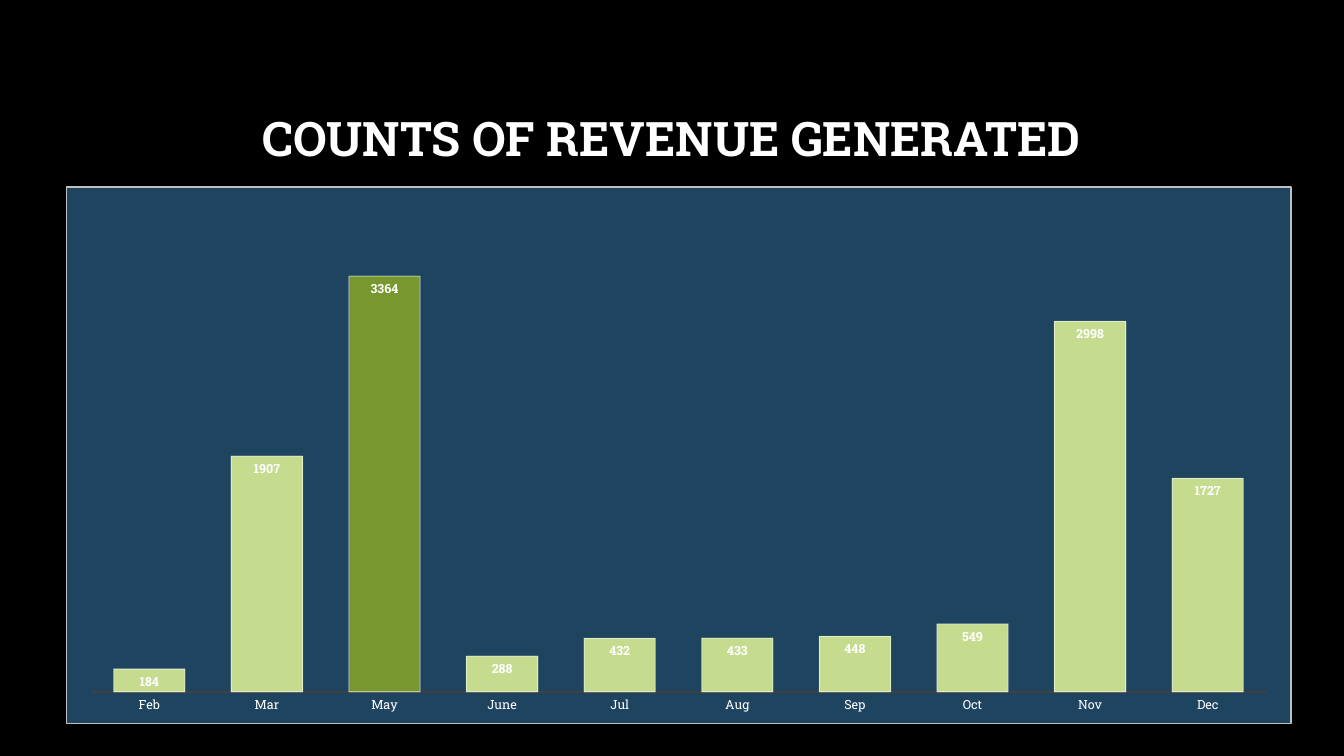
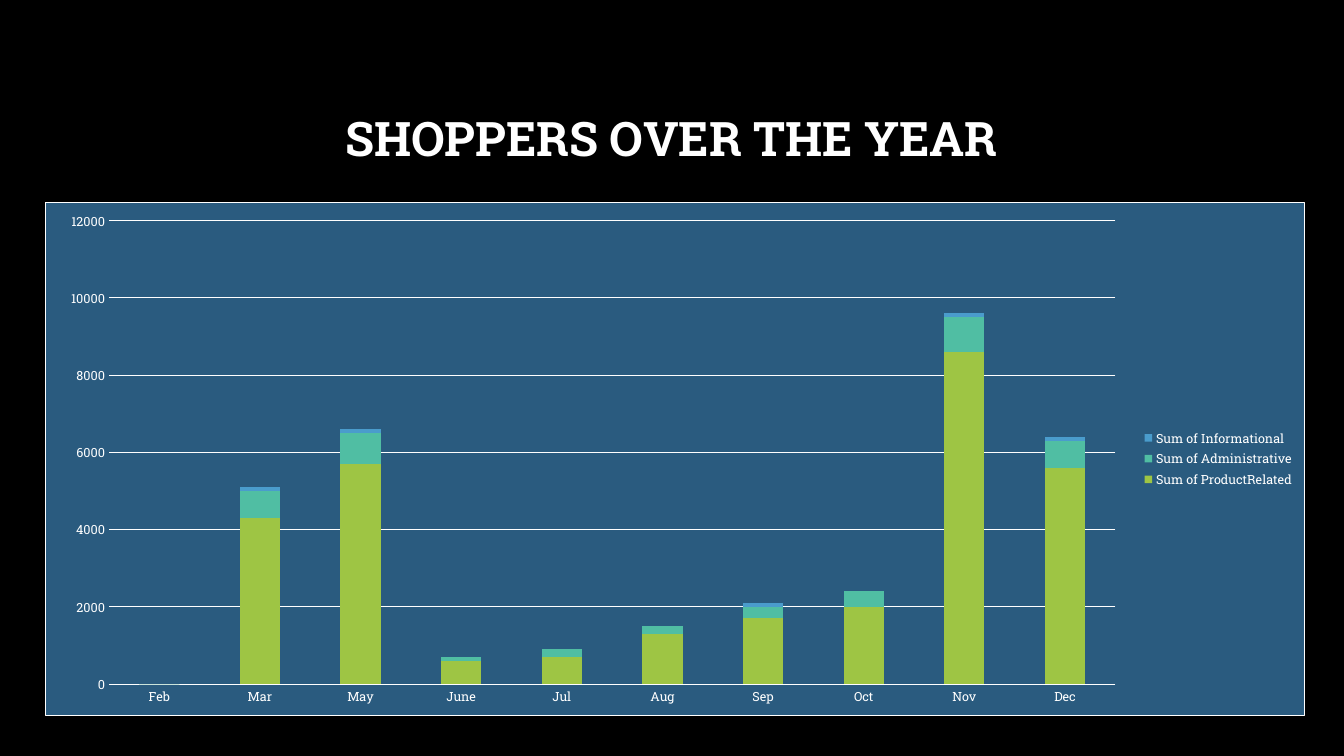
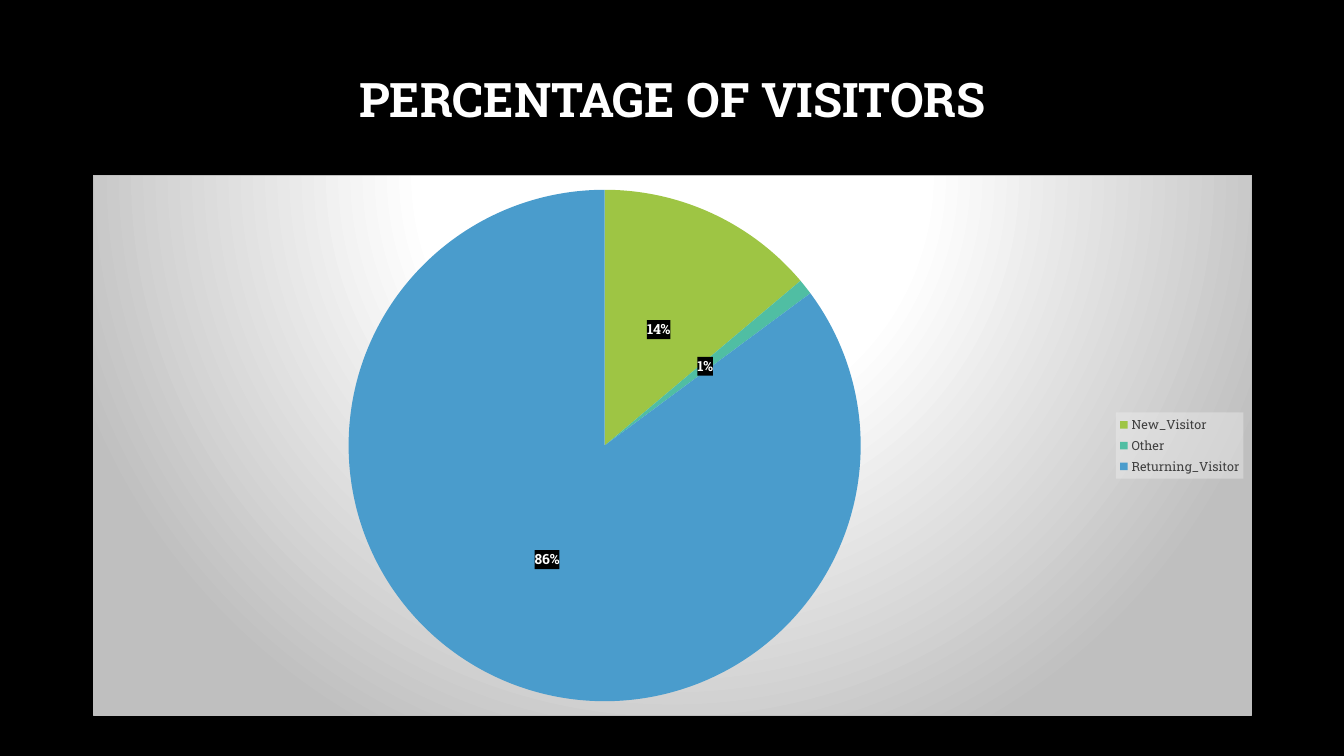
from dataclasses import dataclass, field
from typing import Any

from pptx import Presentation
from pptx.chart.chart import Chart
from pptx.chart.data import CategoryChartData
from pptx.dml.color import RGBColor
from pptx.enum.chart import XL_CHART_TYPE as ChartType
from pptx.enum.chart import XL_LABEL_POSITION as LabelPosition
from pptx.enum.chart import XL_LEGEND_POSITION as LegendPosition
from pptx.enum.chart import XL_TICK_MARK as TickMark
from pptx.enum.text import MSO_ANCHOR as Anchor
from pptx.enum.text import PP_ALIGN as Align
from pptx.oxml import parse_xml
from pptx.oxml.ns import nsdecls, qn
from pptx.util import Inches, Pt

FONT = "Roboto Slab"
BLACK = RGBColor(0x00, 0x00, 0x00)
WHITE = RGBColor(0xFF, 0xFF, 0xFF)
CHARCOAL = RGBColor(0x40, 0x40, 0x40)
SILVER = RGBColor(0xBF, 0xBF, 0xBF)
MIST = RGBColor(0xF2, 0xF2, 0xF2)
NAVY = RGBColor(0x1F, 0x44, 0x5F)
STEEL = RGBColor(0x2A, 0x5B, 0x7F)
PALE_GREEN = RGBColor(0xC5, 0xDC, 0x8F)
DARK_GREEN = RGBColor(0x78, 0x98, 0x2F)
GREEN = RGBColor(0x9E, 0xC5, 0x44)
TEAL = RGBColor(0x50, 0xBE, 0xA3)
BLUE = RGBColor(0x4A, 0x9C, 0xCC)

MONTHS = ("Feb", "Mar", "May", "June", "Jul", "Aug", "Sep", "Oct", "Nov", "Dec")
TITLE_SIZE = (11.32, 1.45)


@dataclass(frozen=True)
class Measure:
    """A named row of chart values with its colours."""

    name: str
    values: tuple[int, ...]
    color: RGBColor
    point_colors: dict[int, RGBColor] = field(default_factory=dict)


@dataclass(frozen=True)
class ChartPage:
    """A titled slide holding one framed chart."""

    title: str
    title_at: tuple[float, float]
    chart_box: tuple[float, float, float, float]
    chart_type: ChartType
    categories: tuple[str, ...]
    measures: tuple[Measure, ...]
    background: str
    border: RGBColor


def solid(color: RGBColor, opacity: int = 100) -> str:
    """Return the XML of a plain fill."""
    return (f'<a:solidFill><a:srgbClr val="{color}">'
            f'<a:alpha val="{opacity * 1000}"/></a:srgbClr></a:solidFill>')


def spotlight() -> str:
    """Return the XML of the round white to silver gradient."""
    stops = "".join(
        f'<a:gs pos="{position * 1000}"><a:srgbClr val="{color}"/></a:gs>'
        for position, color in ((0, WHITE), (39, WHITE), (100, SILVER)))
    return (f'<a:gradFill><a:gsLst>{stops}</a:gsLst><a:path path="circle">'
            '<a:fillToRect l="50000" t="-80000" r="50000" b="180000"/>'
            '</a:path></a:gradFill>')


PAGES = (
    ChartPage(
        "COUNTS OF REVENUE GENERATED", (1, 0.67), (0.65, 1.85, 12.16, 5.33),
        ChartType.COLUMN_CLUSTERED, MONTHS,
        (Measure("Series 1", (184, 1907, 3364, 288, 432, 433, 448, 549, 2998, 1727),
                 PALE_GREEN, {2: DARK_GREEN}),),
        solid(NAVY), SILVER),
    ChartPage(
        "SHOPPERS OVER THE YEAR", (1, 0.67), (0.45, 2, 12.49, 5.1),
        ChartType.COLUMN_STACKED, MONTHS,
        (Measure("Sum of ProductRelated",
                 (0, 4300, 5700, 600, 700, 1300, 1700, 2000, 8600, 5600), GREEN),
         Measure("Sum of Administrative",
                 (0, 700, 800, 100, 200, 200, 300, 400, 900, 700), TEAL),
         Measure("Sum of Informational",
                 (0, 100, 100, 0, 0, 0, 100, 0, 100, 100), BLUE)),
        solid(STEEL), WHITE),
    ChartPage(
        "PERCENTAGE OF VISITORS", (1.01, 0.29), (0.92, 1.74, 11.5, 5.36),
        ChartType.PIE, ("New_Visitor", "Other", "Returning_Visitor"),
        (Measure("Series 1", (14, 1, 86), BLUE, {0: GREEN, 1: TEAL, 2: BLUE}),),
        spotlight(), SILVER),
)


def apply(target: Any, values: dict[str, Any]) -> None:
    """Set each named attribute on the target."""
    for name, value in values.items():
        setattr(target, name, value)


def style_font(font: Any, size: float, color: RGBColor = WHITE, bold: bool = False) -> None:
    """Give a font the shared face with a size and colour."""
    apply(font, {"name": FONT, "size": Pt(size), "bold": bold})
    font.color.rgb = color


def style_line(line: Any, color: RGBColor, width: float = 0.75) -> None:
    """Give a line a colour and width."""
    line.color.rgb = color
    line.width = Pt(width)


def paint(element: Any, fill: str, border: RGBColor | None = None) -> None:
    """Fill and outline a chart part that already has its text format."""
    edge = f'<a:ln w="{Pt(0.75)}">{solid(border)}</a:ln>' if border is not None else ""
    properties = parse_xml(f'<c:spPr {nsdecls("c", "a")}>{fill}{edge}</c:spPr>')
    element.find(qn("c:txPr")).addprevious(properties)


def add_title(slide: Any, page: ChartPage) -> None:
    """Place and format the slide title."""
    title = slide.shapes.title
    apply(title, dict(zip(("left", "top", "width", "height"),
                          map(Inches, page.title_at + TITLE_SIZE))))
    frame = title.text_frame
    apply(frame, {"text": page.title, "vertical_anchor": Anchor.MIDDLE, "word_wrap": True})
    heading = frame.paragraphs[0]
    apply(heading, {"alignment": Align.CENTER, "line_spacing": 0.9})
    style_font(heading.runs[0].font, 34, bold=True)


def add_chart(slide: Any, page: ChartPage) -> Chart:
    """Add the framed chart and colour its measures."""
    data = CategoryChartData()
    data.categories = page.categories
    for measure in page.measures:
        data.add_series(measure.name, measure.values)
    chart = slide.shapes.add_chart(
        page.chart_type, *map(Inches, page.chart_box), data).chart
    apply(chart, {"has_title": False, "has_legend": False})
    style_font(chart.font, 10)
    paint(chart.element, page.background, page.border)
    plot = chart.plots[0]
    plot.vary_by_categories = page.chart_type == ChartType.PIE
    for series, measure in zip(plot.series, page.measures):
        parts = [(series, measure.color)]
        parts += [(series.points[i], color) for i, color in measure.point_colors.items()]
        for part, color in parts:
            part.format.fill.solid()
            part.format.fill.fore_color.rgb = color
    return chart


def add_legend(chart: Chart, color: RGBColor) -> None:
    """Show the legend on the right."""
    chart.has_legend = True
    apply(chart.legend, {"position": LegendPosition.RIGHT, "include_in_layout": False})
    style_font(chart.legend.font, 9, color)


def style_month_axis(chart: Chart, color: RGBColor, width: float) -> None:
    """Format the month axis and its line."""
    axis = chart.category_axis
    axis.major_tick_mark = TickMark.NONE
    style_font(axis.tick_labels.font, 9)
    style_line(axis.format.line, color, width)


def finish_revenue(chart: Chart) -> None:
    """Label the revenue columns and hide the value axis."""
    style_month_axis(chart, CHARCOAL, 1.5)
    apply(chart.value_axis, {"visible": False, "has_major_gridlines": False,
                             "minimum_scale": 0, "maximum_scale": 4000})
    chart.plots[0].gap_width = 65
    revenue = chart.plots[0].series[0]
    for column in (revenue, revenue.points[2]):
        style_line(column.format.line, WHITE)
    for outline in revenue._element.iter(qn("a:ln")):
        outline.replace(outline[0], parse_xml(
            solid(WHITE, 50).replace("<a:solidFill>", f'<a:solidFill {nsdecls("a")}>')))
    labels = revenue.data_labels
    apply(labels, {"show_value": True, "position": LabelPosition.INSIDE_END})
    style_font(labels.font, 9, bold=True)


def finish_shoppers(chart: Chart) -> None:
    """Format the axes, gridlines and legend of the shopper columns."""
    style_month_axis(chart, WHITE, 0.75)
    axis = chart.value_axis
    apply(axis, {"major_tick_mark": TickMark.NONE, "has_major_gridlines": True,
                 "minimum_scale": 0, "maximum_scale": 12000, "major_unit": 2000})
    style_font(axis.tick_labels.font, 9)
    style_line(axis.major_gridlines.format.line, WHITE)
    axis.format.line.fill.background()
    apply(chart.plots[0], {"gap_width": 150, "overlap": 100})
    add_legend(chart, WHITE)


def finish_visitors(chart: Chart) -> None:
    """Add the boxed percentages and legend of the visitor pie."""
    labels = chart.plots[0].series[0].data_labels
    apply(labels, {"show_value": True, "number_format": '0"%"',
                   "number_format_is_linked": False, "position": LabelPosition.CENTER})
    style_font(labels.font, 10, bold=True)
    paint(labels._element, solid(BLACK, 75))
    add_legend(chart, CHARCOAL)
    paint(chart.legend._element, solid(MIST, 39))


def main() -> None:
    """Build and save the presentation."""
    deck = Presentation()
    apply(deck, {"slide_width": Inches(13.33), "slide_height": Inches(7.5)})
    backdrop = deck.slide_master.background.fill
    backdrop.solid()
    backdrop.fore_color.rgb = BLACK
    finishers = (finish_revenue, finish_shoppers, finish_visitors)
    for page, finish in zip(PAGES, finishers):
        slide = deck.slides.add_slide(deck.slide_layouts.get_by_name("Title Only"))
        add_title(slide, page)
        finish(add_chart(slide, page))
    deck.save("out.pptx")


if __name__ == "__main__":
    main()
